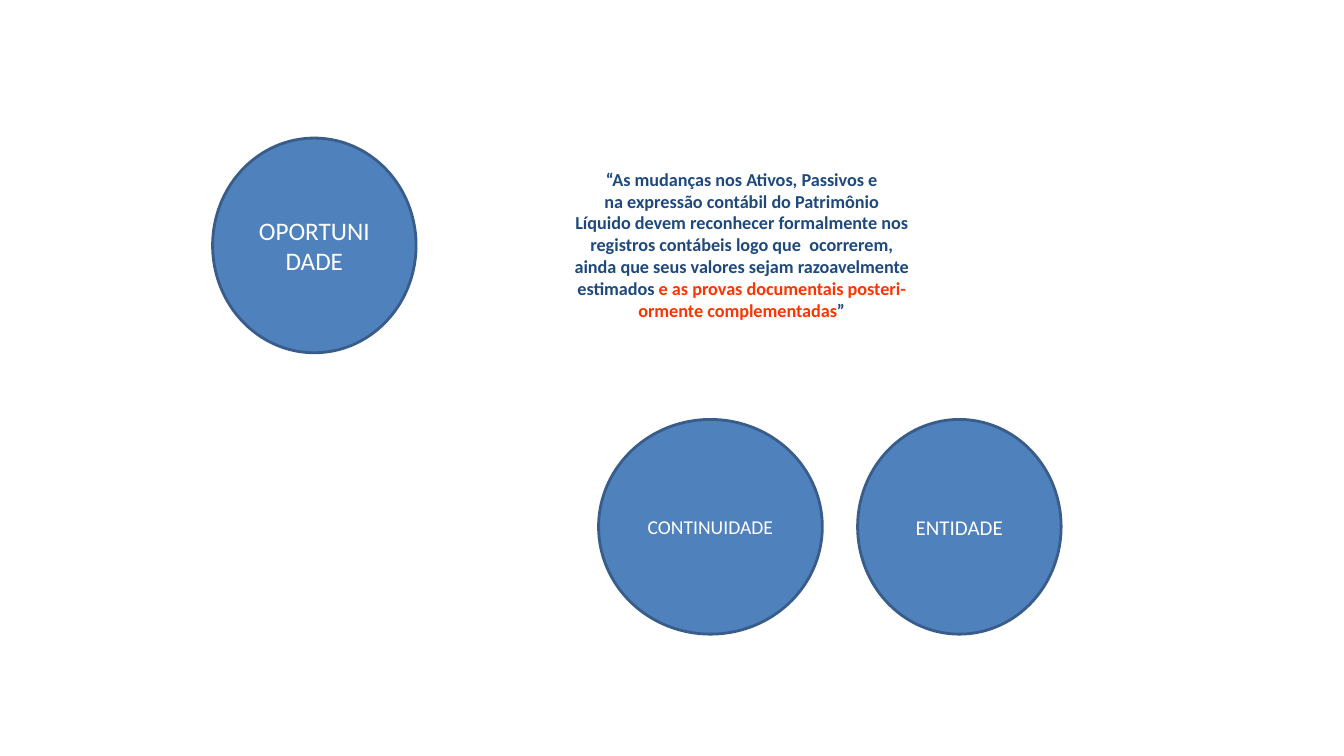
from pptx import Presentation
from pptx.dml.color import RGBColor
from pptx.enum.shapes import MSO_SHAPE
from pptx.enum.text import MSO_ANCHOR, MSO_AUTO_SIZE, PP_ALIGN
from pptx.util import Cm, Pt

OVAL = MSO_SHAPE.OVAL
MIDDLE = MSO_ANCHOR.MIDDLE
GROW = MSO_AUTO_SIZE.SHAPE_TO_FIT_TEXT
CENTER = PP_ALIGN.CENTER

FONT = "Calibri"
COLORS = {
    "fill": "4F81BD",
    "edge": "385D8A",
    "white": "FFFFFF",
    "navy": "1F497D",
    "red": "FF3300",
}

# Label, left, top, width, text size
CIRCLES = [
    ("ENTIDADE", 21.62, 10.57, 5.13, 15),
    ("CONTINUIDADE", 15.09, 10.57, 5.64, 14),
    ("OPORTUNIDADE", 5.36, 3.48, 5.13, 18),
]
HEIGHT = 5.41

# Each line is a list of (text, colour) runs
QUOTE = [
    [("“As mudanças nos Ativos, Passivos e", "navy")],
    [("na expressão contábil do Patrimônio", "navy")],
    [("Líquido devem reconhecer formalmente nos", "navy")],
    [("registros contábeis logo que  ocorrerem,", "navy")],
    [("ainda que seus valores sejam razoavelmente", "navy")],
    [("estimados ", "navy"), ("e as provas documentais posteri-", "red")],
    [("ormente complementadas", "red"), ("”", "navy")],
]


def color(name):
    return RGBColor.from_string(COLORS[name])


def style(para, size, bold=False):
    para.alignment = CENTER
    para.font.name = FONT
    para.font.size = Pt(size)
    para.font.bold = bold


def add_circle(slide, label, left, top, width, size):
    shape = slide.shapes.add_shape(OVAL, Cm(left), Cm(top), Cm(width), Cm(HEIGHT))
    shape.shadow.inherit = False
    shape.fill.solid()
    shape.fill.fore_color.rgb = color("fill")
    shape.line.color.rgb = color("edge")
    shape.line.width = Pt(2)
    frame = shape.text_frame
    frame.word_wrap = True
    frame.vertical_anchor = MIDDLE
    para = frame.paragraphs[0]
    para.text = label
    style(para, size)
    para.font.color.rgb = color("white")


def add_quote(slide, lines, left, top, width, height):
    box = slide.shapes.add_textbox(Cm(left), Cm(top), Cm(width), Cm(height))
    frame = box.text_frame
    frame.word_wrap = True
    frame.auto_size = GROW
    for i, line in enumerate(lines):
        para = frame.add_paragraph() if i else frame.paragraphs[0]
        style(para, 13, bold=True)
        for text, name in line:
            run = para.add_run()
            run.text = text
            run.font.color.rgb = color(name)


def main():
    deck = Presentation()
    deck.slide_width, deck.slide_height = Cm(33.88), Cm(19.05)
    slide = deck.slides.add_slide(deck.slide_layouts[6])

    # Accounting principles
    for circle in CIRCLES:
        add_circle(slide, *circle)

    # Definition
    add_quote(slide, QUOTE, 12.09, 4.11, 13.21, 4.11)

    deck.save("out.pptx")


if __name__ == "__main__":
    main()
